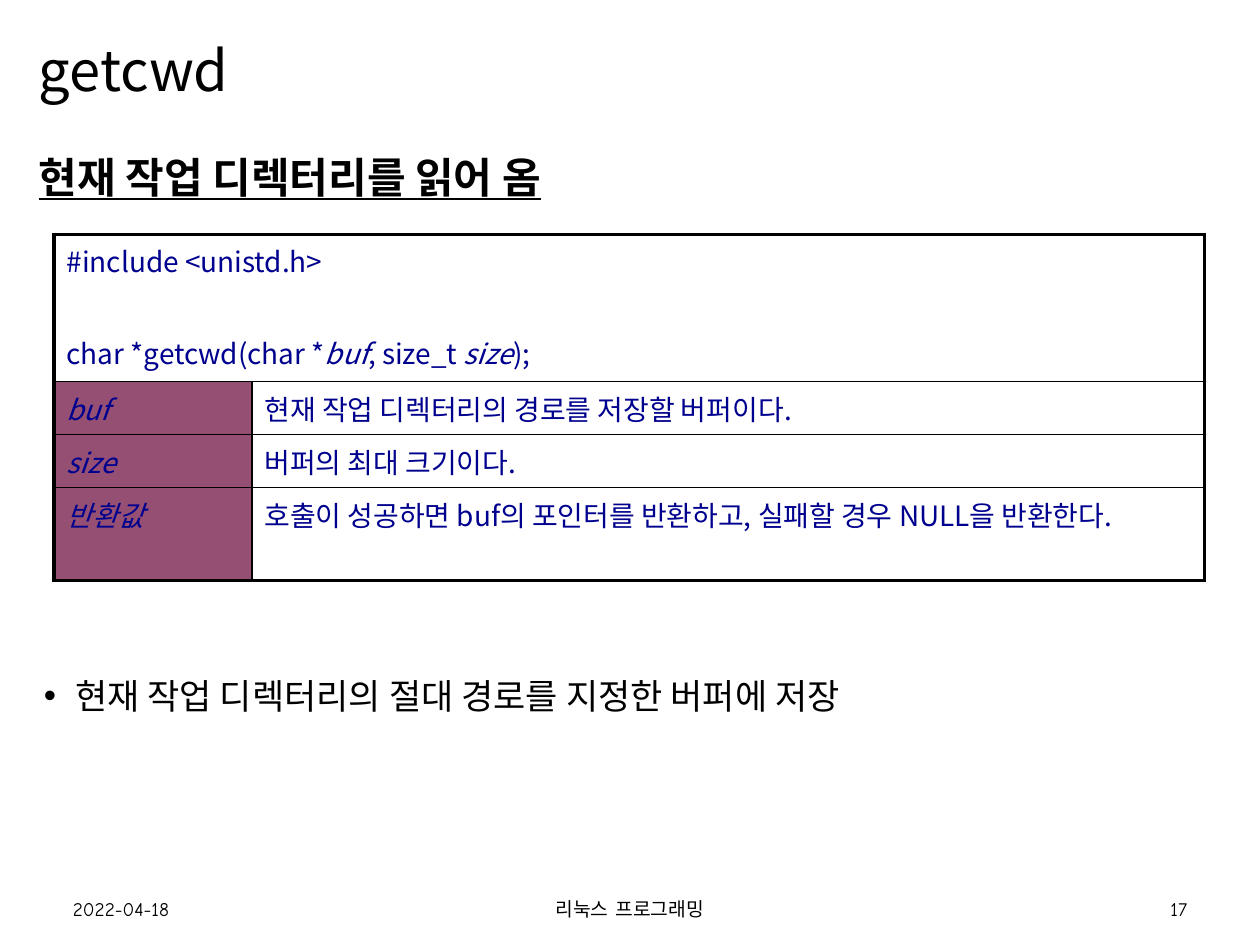
from lxml.etree import SubElement
from pptx import Presentation
from pptx.dml.color import RGBColor
from pptx.enum.text import MSO_ANCHOR, PP_ALIGN
from pptx.oxml.ns import qn
from pptx.util import Inches, Pt

BLACK = RGBColor(0x00, 0x00, 0x00)
NAVY = RGBColor(0x00, 0x00, 0x8E)
PLUM = RGBColor(0x95, 0x4F, 0x72)
MAIN_FONT = "Noto Sans CJK KR"
FOOTER_FONT = "Comic Neue"

# Content
TITLE = "getcwd"
HEADING = "현재 작업 디렉터리를 읽어 옴"
BULLET = "현재 작업 디렉터리의 절대 경로를 지정한 버퍼에 저장"
INCLUDE = [("#include <unistd.h>", False)]
PROTOTYPE = [("char *getcwd(char *", False), ("buf", True), (", size_t ", False),
             ("size", True), (");", False)]
PARAMETERS = [
    ("buf", "현재 작업 디렉터리의 경로를 저장할 버퍼이다.", PP_ALIGN.LEFT),
    ("size", "버퍼의 최대 크기이다.", PP_ALIGN.JUSTIFY),
    ("반환값", "호출이 성공하면 buf의 포인터를 반환하고, 실패할 경우 NULL을 반환한다.",
     PP_ALIGN.JUSTIFY),
]
FOOTERS = [  # text, left, width, alignment
    ("2022-04-18", 0.48, 2.25, PP_ALIGN.LEFT),
    ("리눅스 프로그래밍", 3.31, 3.38, PP_ALIGN.CENTER),
    ("17", 7.27, 2.25, PP_ALIGN.RIGHT),
]
COLUMN_WIDTHS = [1.57, 7.56]
ROW_HEIGHTS = [1.17, 0.42, 0.42, 0.74]
OUTER_LINE, INNER_LINE = 2.25, 1


def add_run(paragraph, text, size, color=BLACK, font=MAIN_FONT, italic=False):
    run = paragraph.add_run()
    run.text = text
    run.font.size = Pt(size)
    run.font.name = font
    run.font.italic = italic
    run.font.color.rgb = color
    SubElement(run.font._element, qn("a:ea"), typeface=font)
    return run


def add_text_box(slide, left, top, width, height, anchor=MSO_ANCHOR.MIDDLE):
    box = slide.shapes.add_textbox(Inches(left), Inches(top), Inches(width), Inches(height))
    frame = box.text_frame
    frame.word_wrap = True
    frame.vertical_anchor = anchor
    return frame


def set_bullet(paragraph, character, left, indent):
    properties = paragraph._p.get_or_add_pPr()
    properties.set("marL", str(Inches(left)))
    properties.set("indent", str(Inches(indent)))
    SubElement(properties, qn("a:buFont"), typeface="Arial")
    SubElement(properties, qn("a:buChar"), char=character)


def set_borders(cell, widths):
    properties = cell._tc.get_or_add_tcPr()
    for position, (side, width) in enumerate(widths.items()):
        line = properties.makeelement(qn(f"a:ln{side}"), {"w": str(Pt(width))})
        fill = SubElement(line, qn("a:solidFill"))
        SubElement(fill, qn("a:srgbClr"), val=str(BLACK))
        properties.insert(position, line)


def add_function_table(slide):
    rows, columns = len(ROW_HEIGHTS), len(COLUMN_WIDTHS)
    frame = slide.shapes.add_table(rows, columns, Inches(0.43), Inches(1.86),
                                   Inches(sum(COLUMN_WIDTHS)), Inches(sum(ROW_HEIGHTS)))
    table = frame.table
    table.first_row = table.horz_banding = False
    for column, width in zip(table.columns, COLUMN_WIDTHS):
        column.width = Inches(width)
    for row, height in zip(table.rows, ROW_HEIGHTS):
        row.height = Inches(height)

    # Thick frame, thin inner lines, shaded name column
    for r in range(rows):
        for c in range(columns):
            cell = table.cell(r, c)
            if r > 0 and c == 0:
                cell.fill.solid()
                cell.fill.fore_color.rgb = PLUM
            else:
                cell.fill.background()
            edges = {"L": c == 0, "R": c == columns - 1 or r == 0,
                     "T": r == 0, "B": r == rows - 1}
            set_borders(cell, {side: OUTER_LINE if outer else INNER_LINE
                               for side, outer in edges.items()})

    # Declaration across the top, with one line of space between its parts
    table.cell(0, 0).merge(table.cell(0, columns - 1))
    declaration = table.cell(0, 0).text_frame
    prototype = declaration.add_paragraph()
    prototype.space_before = Pt(29.5)
    for paragraph, runs in ((declaration.paragraphs[0], INCLUDE), (prototype, PROTOTYPE)):
        for text, italic in runs:
            add_run(paragraph, text, 16, NAVY, italic=italic)

    # Parameters and return value
    for r, (name, description, alignment) in enumerate(PARAMETERS, start=1):
        add_run(table.cell(r, 0).text_frame.paragraphs[0], name, 16, NAVY, italic=True)
        paragraph = table.cell(r, 1).text_frame.paragraphs[0]
        paragraph.alignment = alignment
        add_run(paragraph, description, 16, NAVY)


def main():
    presentation = Presentation()
    presentation.slide_width, presentation.slide_height = Inches(10), Inches(7.5)
    slide = presentation.slides.add_slide(presentation.slide_layouts[6])

    # Title
    paragraph = add_text_box(slide, 0.21, 0.1, 9.58, 0.97).paragraphs[0]
    paragraph.line_spacing = 0.9
    add_run(paragraph, TITLE, 32)

    # Heading, and a bullet below the table
    body = add_text_box(slide, 0.21, 1.15, 9.58, 5.85, MSO_ANCHOR.TOP)
    heading = add_run(body.paragraphs[0], HEADING, 24)
    heading.font.bold = heading.font.underline = True
    bullet = body.add_paragraph()
    bullet.space_before = Pt(270)
    set_bullet(bullet, "•", 0.29, -0.25)
    add_run(bullet, BULLET, 20)

    # Footer
    for text, left, width, alignment in FOOTERS:
        paragraph = add_text_box(slide, left, 7.07, width, 0.28).paragraphs[0]
        paragraph.alignment = alignment
        add_run(paragraph, text, 11, font=FOOTER_FONT)

    add_function_table(slide)
    presentation.save("out.pptx")


if __name__ == "__main__":
    main()
